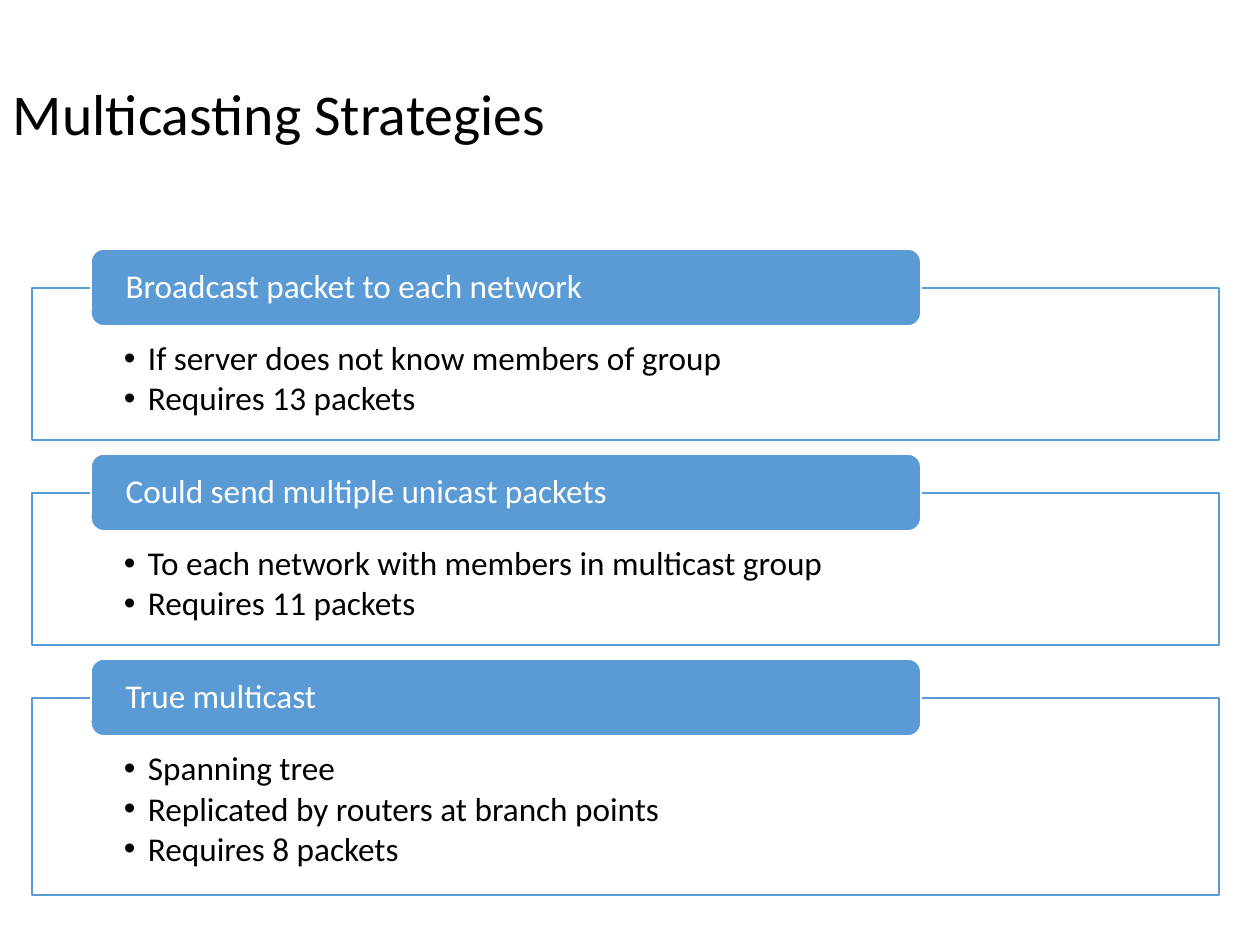
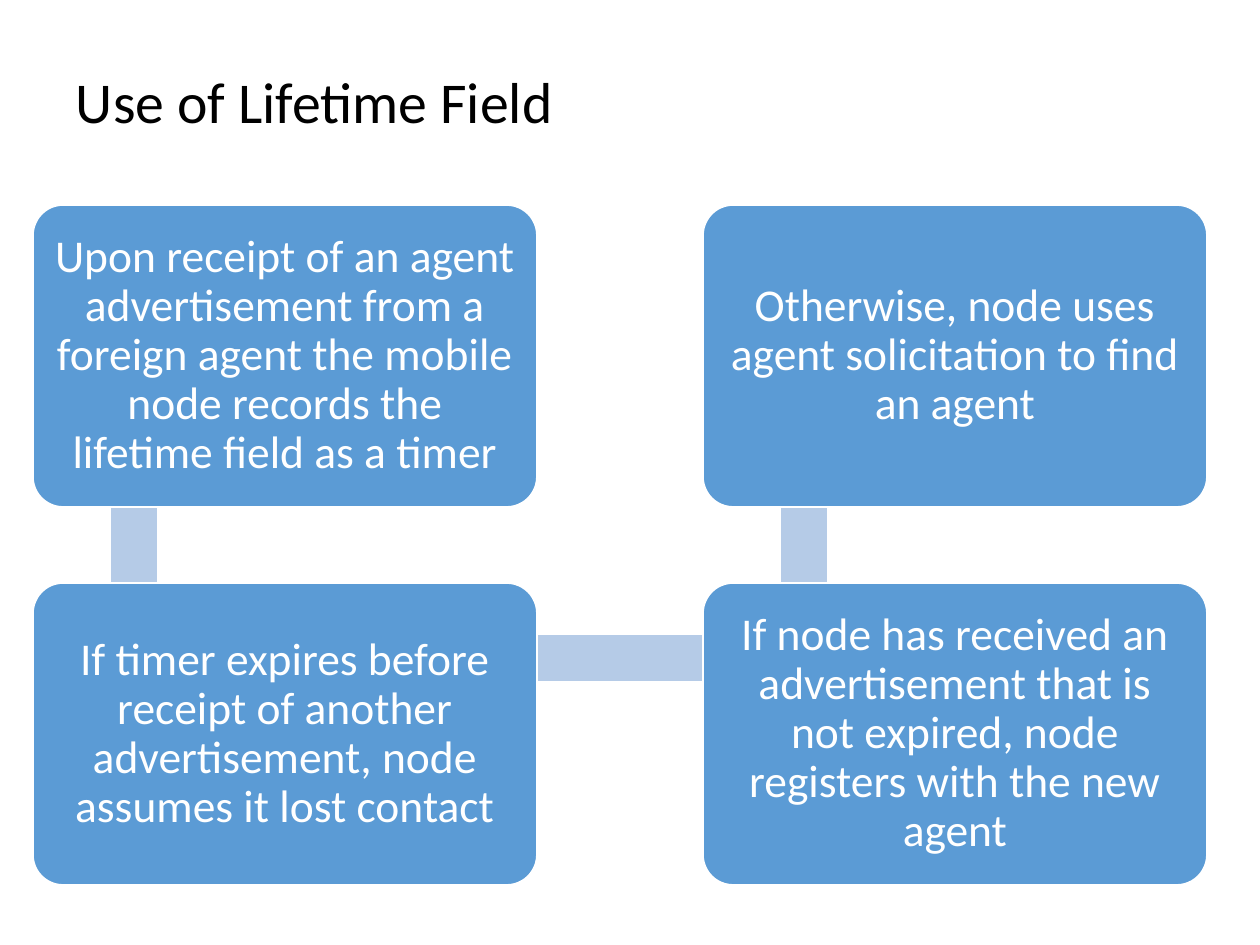
from dataclasses import dataclass
from itertools import pairwise

from lxml.etree import SubElement
from pptx import Presentation
from pptx.dml.color import RGBColor
from pptx.enum.shapes import MSO_SHAPE
from pptx.enum.text import MSO_ANCHOR, PP_ALIGN
from pptx.oxml.ns import qn
from pptx.util import Inches, Pt

PANELS = [
    ("Broadcast packet to each network",
     ["If server does not know members of group", "Requires 13 packets"]),
    ("Could send multiple unicast packets",
     ["To each network with members in multicast group", "Requires 11 packets"]),
    ("True multicast",
     ["Spanning tree", "Replicated by routers at branch points",
      "Requires 8 packets"]),
]

STEPS = [
    (0, 0, "Upon receipt of an agent advertisement from a foreign agent "
           "the mobile node records the lifetime field as a timer"),
    (0, 1, "If timer expires before receipt of another advertisement, "
           "node assumes it lost contact"),
    (1, 1, "If node has received an advertisement that is not expired, "
           "node registers with the new agent"),
    (1, 0, "Otherwise, node uses agent solicitation to find an agent"),
]


@dataclass(frozen=True)
class Theme:
    font: str = "Calibri"
    ink: str = "000000"
    paper: str = "FFFFFF"
    blue: str = "5B9BD5"
    pale: str = "B5CBE7"
    title: int = 33
    list: int = 19
    step: int = 26


THEME = Theme()
SCALE = Inches(1) / 126


def px(n):
    return round(n * SCALE)


def color(code):
    return RGBColor.from_string(code)


def write(shape, lines, size, ink, pad, align=PP_ALIGN.LEFT,
          anchor=MSO_ANCHOR.MIDDLE, gap=0):
    frame = shape.text_frame
    frame.text = "\n".join(lines)
    frame.word_wrap = True
    frame.vertical_anchor = anchor
    (frame.margin_left, frame.margin_top,
     frame.margin_right, frame.margin_bottom) = map(px, pad)
    for para in frame.paragraphs:
        para.alignment = align
        para.line_spacing = 0.9
        para.space_after = Pt(gap)
        for run in para.runs:
            run.font.name = THEME.font
            run.font.size = Pt(size)
            run.font.color.rgb = color(ink)


def bullet(para, indent):
    props = para._p.get_or_add_pPr()
    props.set("marL", str(px(indent)))
    props.set("indent", str(-px(indent)))
    SubElement(props, qn("a:buFont"), typeface="Arial")
    SubElement(props, qn("a:buChar"), char="•")


def block(slide, kind, box, fill, line=None):
    shape = slide.shapes.add_shape(kind, *map(px, box))
    shape.shadow.inherit = False
    shape.fill.solid()
    shape.fill.fore_color.rgb = color(fill)
    if line:
        shape.line.color.rgb = color(line)
        shape.line.width = Pt(1)
    else:
        shape.line.fill.background()
    return shape


def start(deck, text, box):
    slide = deck.slides.add_slide(deck.slide_layouts[5])
    title = slide.shapes.title
    title.left, title.top, title.width, title.height = map(px, box)
    write(title, [text], THEME.title, THEME.ink, (13, 6, 13, 6))
    return slide


def panels(slide):
    top, gap = 288, 53
    for head, items in PANELS:
        high = 62 + 45 * len(items)
        body = block(slide, MSO_SHAPE.RECTANGLE, (32, top, 1187, high),
                     THEME.paper, THEME.blue)
        tint = body.fill._xPr.find(f".//{qn('a:srgbClr')}")
        SubElement(tint, qn("a:alpha"), val="90000")
        write(body, items, THEME.list, THEME.ink, (92, 54, 92, 19),
              anchor=MSO_ANCHOR.TOP, gap=2.5)
        for para in body.text_frame.paragraphs:
            bullet(para, 24)
        tab = block(slide, MSO_SHAPE.ROUNDED_RECTANGLE,
                    (91, top - 39, 830, 77), THEME.blue, THEME.paper)
        write(tab, [head], THEME.list, THEME.paper, (31, 0, 31, 0))
        top += high + gap


def flow(slide):
    left, top, wide, high = 33, 205, 504, 302
    across, down, thick = 670, 378, 46

    def place(col, row):
        return left + col * across, top + row * down

    for (col, row, _), (col2, row2, _) in pairwise(STEPS):
        x, y = place(min(col, col2), min(row, row2))
        if col == col2:
            bar = x + 78, y + 76, thick, down - 3
        else:
            bar = x + 102, y + 52, across - 2, thick
        block(slide, MSO_SHAPE.RECTANGLE, bar, THEME.pale)
    for col, row, text in STEPS:
        node = block(slide, MSO_SHAPE.ROUNDED_RECTANGLE,
                     (*place(col, row), wide, high), THEME.blue, THEME.paper)
        node.adjustments[0] = 0.1
        write(node, [text], THEME.step, THEME.paper, (13,) * 4,
              align=PP_ALIGN.CENTER)


def main():
    deck = Presentation()
    deck.slide_width, deck.slide_height = px(1260), px(945)
    panels(start(deck, "Multicasting Strategies", (0, 38, 1260, 157)))
    flow(start(deck, "Use of Lifetime Field", (63, 0, 1134, 209)))
    deck.save("out.pptx")


if __name__ == "__main__":
    main()
